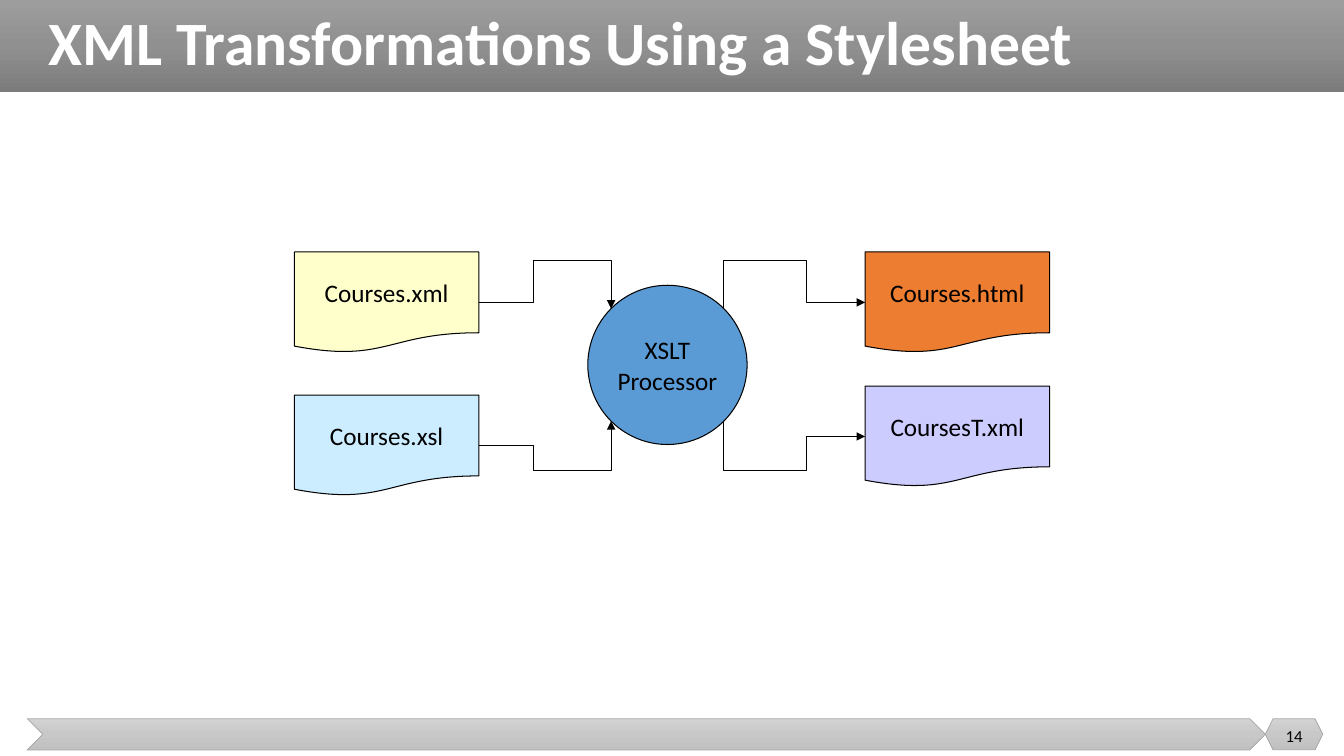
from copy import deepcopy
from dataclasses import dataclass
from math import sqrt

from lxml import etree
from pptx import Presentation
from pptx import util as u
from pptx.dml.color import RGBColor
from pptx.enum import shapes, text
from pptx.oxml.ns import qn


@dataclass(frozen=True)
class Theme:
    font: str = "Calibri"
    title_size: int = 44
    label_size: int = 18
    number_size: int = 12
    ink: str = "000000"
    title_ink: str = "FFFFFF"
    header: tuple = ("9D9D9D", "909090", "7C7C7C")
    footer: tuple = ("D2D2D2", "C8C8C8", "C0C0C0")
    footer_line: str = "A5A5A5"
    processor: str = "5B9BD5"
    xml: str = "FFFFCC"
    xsl: str = "CCECFF"
    html: str = "ED7D31"
    xml_result: str = "CCCCFF"


THEME = Theme()
PRESET = shapes.MSO_SHAPE
DOCUMENT_WIDTH, DOCUMENT_HEIGHT = 1.83, 1
INPUT_LEFT, OUTPUT_LEFT = 2.92, 8.58
INPUT_BEND, OUTPUT_BEND = 5.29, 8
UPPER_LANE, LOWER_LANE = 2.58, 4.67
PROCESSOR_LEFT, PROCESSOR_TOP, PROCESSOR_SIZE = 5.83, 2.83, 1.58


def rgb(value):
    return RGBColor.from_string(value)


def inches(*values):
    return [u.Inches(value) for value in values]


def write(shape, lines, size, color, align=text.PP_ALIGN.CENTER, bold=False):
    frame = shape.text_frame
    frame.text = "\n".join(lines)
    frame.vertical_anchor = text.MSO_ANCHOR.MIDDLE
    for para in frame.paragraphs:
        para.alignment = align
        para.font.name = THEME.font
        para.font.size = u.Pt(size)
        para.font.bold = bold
        para.font.color.rgb = rgb(color)
    return frame


def add_band(slide, preset, place, colors, line=None):
    """Add a text-free shape with a top-to-bottom gradient."""
    band = slide.shapes.add_shape(preset, *inches(*place))
    band.shadow.inherit = False
    band.fill.gradient()
    band.fill.gradient_angle = 270
    stops = band._element.spPr.find(".//" + qn("a:gsLst"))
    stops.append(deepcopy(stops[0]))
    for stop, position, color in zip(band.fill.gradient_stops, (0, 0.5, 1), colors):
        stop.position = position
        stop.color.rgb = rgb(color)
    if line:
        band.line.color.rgb = rgb(line)
        band.line.width = u.Pt(0.5)
    else:
        band.line.fill.background()


def add_node(slide, preset, place, color, *lines):
    node = slide.shapes.add_shape(preset, *inches(*place))
    node.shadow.inherit = False
    node.fill.solid()
    node.fill.fore_color.rgb = rgb(color)
    node.line.color.rgb = rgb(THEME.ink)
    node.line.width = u.Pt(0.75)
    write(node, lines, THEME.label_size, THEME.ink).word_wrap = False
    return node


def add_document(slide, left, top, color, name):
    place = (left, top, DOCUMENT_WIDTH, DOCUMENT_HEIGHT)
    return add_node(slide, PRESET.FLOWCHART_DOCUMENT, place, color, name)


def add_elbow(slide, start, end, bend, lane, joins, upright=False):
    """Route an arrow by a vertical at bend and a horizontal at lane.

    An upright arrow leaves vertically, so its frame is turned by 270 degrees.
    joins holds the (shape, connection site) pair of each end.
    """
    (x0, y0), (x1, y1) = start, end
    across, down = (bend - x0) / (x1 - x0), (lane - y0) / (y1 - y0)
    ratios = (across, down)
    if upright:
        ratios = (down, across)
        middle_x, middle_y = (x0 + x1) / 2, (y0 + y1) / 2
        half_x, half_y = (y0 - y1) / 2, (x1 - x0) / 2
        x0, x1 = middle_x - half_x, middle_x + half_x
        y0, y1 = middle_y - half_y, middle_y + half_y
    arrow = slide.shapes.add_connector(
        shapes.MSO_CONNECTOR.ELBOW, *inches(x0, y0, x1, y1))
    arrow.line.color.rgb = rgb(THEME.ink)
    arrow.line.width = u.Pt(0.75)
    properties = arrow._element.spPr
    if upright:
        properties.find(qn("a:xfrm")).set("rot", str(270 * 60000))
    geometry = properties.find(qn("a:prstGeom"))
    geometry.set("prst", "bentConnector4")
    guides = geometry.get_or_add_avLst()
    for number, ratio in enumerate(ratios, 1):
        etree.SubElement(guides, qn("a:gd"), name=f"adj{number}",
                         fmla=f"val {round(ratio * 100000)}")
    etree.SubElement(properties.find(qn("a:ln")), qn("a:tailEnd"), type="triangle")
    etree.SubElement(properties, qn("a:effectLst"))
    links = arrow._element.find(".//" + qn("p:cNvCxnSpPr"))
    for tag, (shape, site) in zip(("a:stCxn", "a:endCxn"), joins):
        etree.SubElement(links, qn(tag), id=str(shape.shape_id), idx=str(site))


def add_frame(slide):
    """Add the header, the footer, the slide number and the title."""
    add_band(slide, PRESET.RECTANGLE, (0, 0, 13.33, 0.91), THEME.header)
    for preset, left, width in ((PRESET.CHEVRON, 0.27, 12.28),
                                (PRESET.HEXAGON, 12.55, 0.57)):
        add_band(slide, preset, (left, 7.13, width, 0.31),
                 THEME.footer, THEME.footer_line)
    number = slide.shapes.add_textbox(*inches(12.55, 7.1, 0.57, 0.4))
    write(number, ["14"], THEME.number_size, THEME.ink).word_wrap = True

    title = slide.shapes.title
    title.left, title.top, title.width, title.height = inches(0.38, 0, 12.74, 0.91)
    frame = write(title, ["XML Transformations Using a Stylesheet"],
                  THEME.title_size, THEME.title_ink, text.PP_ALIGN.LEFT, True)
    frame.auto_size = text.MSO_AUTO_SIZE.NONE
    frame.paragraphs[0].line_spacing = 0.9
    slide.shapes._spTree.append(title._element)


def add_flow(slide):
    processor = add_node(
        slide, PRESET.OVAL,
        (PROCESSOR_LEFT, PROCESSOR_TOP, PROCESSOR_SIZE, PROCESSOR_SIZE),
        THEME.processor, "XSLT", "Processor")
    radius = PROCESSOR_SIZE / 2
    inset = radius * (1 - sqrt(0.5))
    left, top = PROCESSOR_LEFT + inset, PROCESSOR_TOP + inset
    right, bottom = left + radius * sqrt(2), top + radius * sqrt(2)

    inputs = ((2.5, THEME.xml, "Courses.xml", top, UPPER_LANE, 1),
              (3.92, THEME.xsl, "Courses.xsl", bottom, LOWER_LANE, 3))
    for y, color, name, port, lane, site in inputs:
        document = add_document(slide, INPUT_LEFT, y, color, name)
        start = (INPUT_LEFT + DOCUMENT_WIDTH, y + DOCUMENT_HEIGHT / 2)
        add_elbow(slide, start, (left, port), INPUT_BEND, lane,
                  ((document, 3), (processor, site)))

    outputs = ((2.5, THEME.html, "Courses.html", top, UPPER_LANE, 7),
               (3.83, THEME.xml_result, "CoursesT.xml", bottom, LOWER_LANE, 5))
    for y, color, name, port, lane, site in outputs:
        document = add_document(slide, OUTPUT_LEFT, y, color, name)
        end = (OUTPUT_LEFT, y + DOCUMENT_HEIGHT / 2)
        add_elbow(slide, (right, port), end, OUTPUT_BEND, lane,
                  ((processor, site), (document, 1)), upright=True)


def main():
    deck = Presentation()
    deck.slide_width, deck.slide_height = inches(13.33, 7.5)
    slide = deck.slides.add_slide(deck.slide_layouts[5])
    add_frame(slide)
    add_flow(slide)
    deck.save("out.pptx")


if __name__ == "__main__":
    main()
